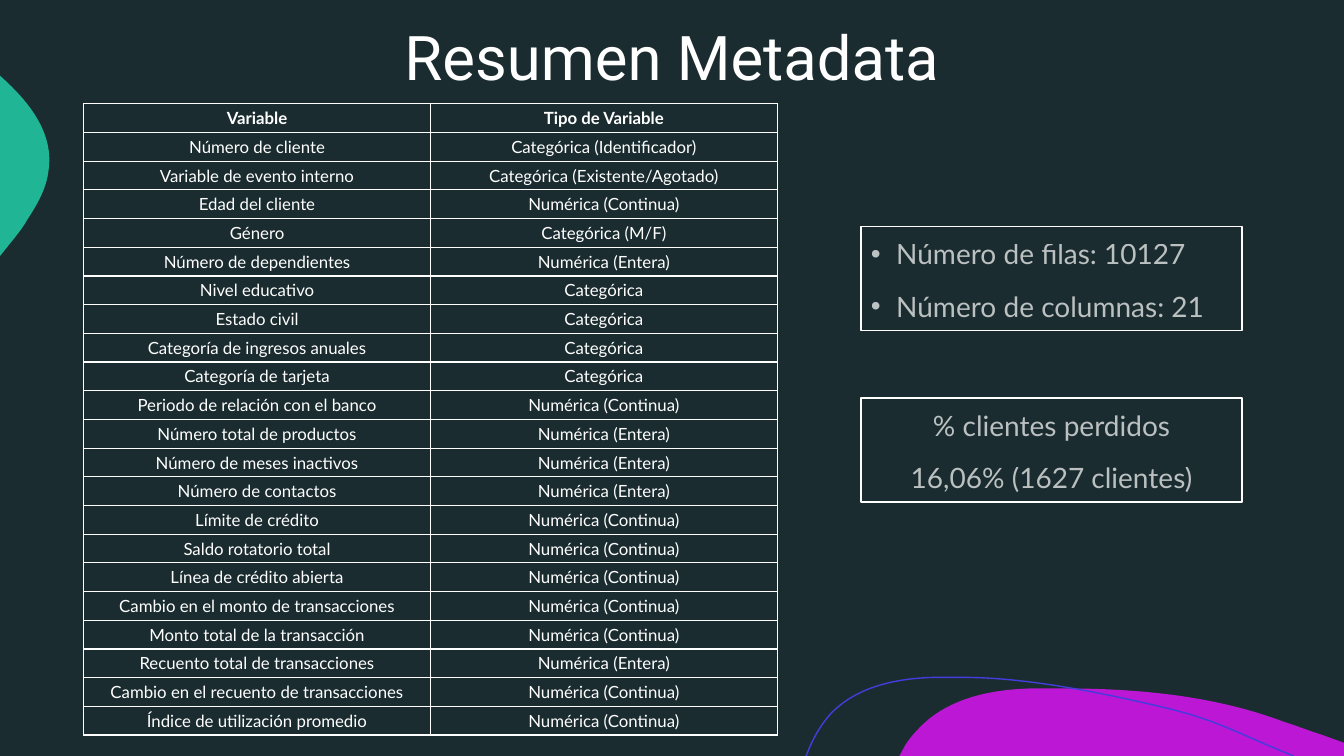
from lxml.etree import SubElement as Sub
from pptx import Presentation
from pptx.dml.color import RGBColor as Rgb
from pptx.enum.shapes import MSO_SHAPE as Kind
from pptx.enum.text import MSO_ANCHOR as Anchor, PP_ALIGN as Align
from pptx.oxml.ns import qn
from pptx.util import Inches, Pt

HUES = {"back": "1B2C30", "ink": "FFFFFF", "plum": "BB17D5",
        "teal": "20B695", "blue": "423DDC"}
TITLE = "Resumen Metadata"
CAT, NUM, INT = "Categórica", "Numérica (Continua)", "Numérica (Entera)"
ROWS = [
    ("Variable", "Tipo de Variable"),
    ("Número de cliente", "Categórica (Identificador)"),
    ("Variable de evento interno", "Categórica (Existente/Agotado)"),
    ("Edad del cliente", NUM),
    ("Género", "Categórica (M/F)"),
    ("Número de dependientes", INT),
    ("Nivel educativo", CAT),
    ("Estado civil", CAT),
    ("Categoría de ingresos anuales", CAT),
    ("Categoría de tarjeta", CAT),
    ("Periodo de relación con el banco", NUM),
    ("Número total de productos", INT),
    ("Número de meses inactivos", INT),
    ("Número de contactos", INT),
    ("Límite de crédito", NUM),
    ("Saldo rotatorio total", NUM),
    ("Línea de crédito abierta", NUM),
    ("Cambio en el monto de transacciones", NUM),
    ("Monto total de la transacción", NUM),
    ("Recuento total de transacciones", INT),
    ("Cambio en el recuento de transacciones", NUM),
    ("Índice de utilización promedio", NUM),
]
BOXES = [
    (2.25, ["Número de filas: 10127", "Número de columnas: 21"], True),
    (3.95, ["% clientes perdidos", "16,06% (1627 clientes)"], False),
]
BLOBS = [
    ("plum", True, (10.54, 6.83), [
        (11.28, 6.83, 12.04, 6.9, 12.73, 7.16),
        (12.86, 7.2, 12.98, 7.25, 13.11, 7.29),
        (13.33, 7.37), (13.33, 7.5), (8.92, 7.5), (8.98, 7.39),
        (9.02, 7.33, 9.06, 7.28, 9.11, 7.23),
        (9.39, 6.93, 9.82, 6.84, 10.23, 6.83),
        (10.33, 6.83, 10.43, 6.83, 10.54, 6.83)]),
    ("teal", True, (0, 0.75), [
        (0.01, 0.76), (0.3, 1.02, 0.54, 1.33, 0.48, 1.7),
        (0.46, 1.87, 0.37, 2.03, 0.27, 2.18),
        (0.24, 2.24, 0.17, 2.33, 0.08, 2.44), (0, 2.54)]),
    ("blue", False, (7.99, 7.5), [
        (8, 7.49), (8.06, 7.33, 8.14, 7.19, 8.24, 7.08),
        (8.5, 6.81, 8.89, 6.73, 9.26, 6.72), (9.55, 6.72),
        (10.22, 6.72, 11, 6.89, 11.55, 7.02),
        (12.09, 7.15, 12.26, 7.27, 12.83, 7.5)]),
]
GRAIN = 1000


def hue(name):
    return Rgb.from_string(HUES[name])


def write(frame, lines, size, font="Lato", bold=False, align=Align.CENTER,
          anchor=Anchor.MIDDLE, lead=None, gap=None, alpha=None, dots=False):
    frame.word_wrap = True
    frame.vertical_anchor = anchor
    for i, line in enumerate(lines):
        para = frame.add_paragraph() if i else frame.paragraphs[0]
        para.alignment, para.line_spacing = align, lead
        if gap:
            para.space_before = Pt(gap)
        if dots:
            props = para._p.get_or_add_pPr()
            props.set("marL", str(Inches(0.25)))
            props.set("indent", str(-Inches(0.25)))
            Sub(props, qn("a:buFont"), typeface="Arial")
            Sub(props, qn("a:buChar"), char="•")
        run = para.add_run()
        run.text = line
        run.font.size, run.font.name, run.font.bold = Pt(size), font, bold
        run.font.color.rgb = hue("ink")
        if alpha:
            tone = run._r.rPr.find(".//" + qn("a:srgbClr"))
            Sub(tone, qn("a:alpha"), val=str(alpha * 1000))


def bend(shape, ends, parts):
    left, top = (min(axis) for axis in zip(*ends))
    legs = list(shape._element.iter(qn("a:lnTo")))
    for leg, part in zip(legs, parts):
        if len(part) == 2:
            continue
        curve = leg.makeelement(qn("a:cubicBezTo"))
        for x, y in zip(part[::2], part[1::2]):
            Sub(curve, qn("a:pt"), x=str(round((x - left) * GRAIN)),
                y=str(round((y - top) * GRAIN)))
        leg.getparent().replace(leg, curve)


def blob(slide, name, solid, start, parts):
    ends = [start] + [part[-2:] for part in parts]
    dots = [(x * GRAIN, y * GRAIN) for x, y in ends]
    pen = slide.shapes.build_freeform(*dots[0], scale=Inches(1) / GRAIN)
    pen.add_line_segments(dots[1:], close=solid)
    shape = pen.convert_to_shape()
    bend(shape, ends, parts)
    shape.shadow.inherit = False
    if solid:
        shape.fill.solid()
        shape.fill.fore_color.rgb = hue(name)
        shape.line.fill.background()
    else:
        shape.fill.background()
        shape.line.color.rgb, shape.line.width = hue(name), Pt(1)


def edge(cell):
    props = cell._tc.get_or_add_tcPr()
    for side in ("lnL", "lnR", "lnT", "lnB"):
        line = Sub(props, qn("a:" + side), w=str(Pt(1)))
        Sub(Sub(line, qn("a:solidFill")), qn("a:srgbClr"), val=HUES["ink"])


def grid(slide):
    tall = Inches(6.27)
    table = slide.shapes.add_table(len(ROWS), 2, Inches(0.83), Inches(1.03),
                                   Inches(6.88), tall).table
    for r, row in enumerate(ROWS):
        table.rows[r].height = tall // len(ROWS)
        for c, text in enumerate(row):
            cell = table.cell(r, c)
            cell.margin_left = cell.margin_right = Inches(0.05)
            cell.margin_top = cell.margin_bottom = Inches(0.02)
            write(cell.text_frame, [text], 12, bold=r == 0)
            cell.vertical_anchor = Anchor.MIDDLE
            edge(cell)
            cell.fill.background()


def box(slide, top, lines, dots):
    shape = slide.shapes.add_shape(Kind.RECTANGLE, Inches(8.54), Inches(top),
                                   Inches(3.78), Inches(1.03))
    shape.shadow.inherit = False
    shape.fill.background()
    shape.line.color.rgb, shape.line.width = hue("ink"), Pt(1)
    write(shape.text_frame, lines, 20, anchor=Anchor.TOP, lead=1.15, gap=10,
          alpha=70, dots=dots, align=Align.LEFT if dots else Align.CENTER)


def main():
    """Build the metadata summary slide."""
    deck = Presentation()
    deck.slide_width, deck.slide_height = Inches(13.33), Inches(7.5)
    slide = deck.slides.add_slide(deck.slide_layouts[6])
    slide.background.fill.solid()
    slide.background.fill.fore_color.rgb = hue("back")
    for item in BLOBS:
        blob(slide, *item)
    head = slide.shapes.add_textbox(0, Inches(0.17), deck.slide_width,
                                    Inches(0.86))
    write(head.text_frame, [TITLE], 44, font="Roboto", lead=0.9)
    grid(slide)
    for item in BOXES:
        box(slide, *item)
    deck.save("out.pptx")


if __name__ == "__main__":
    main()
